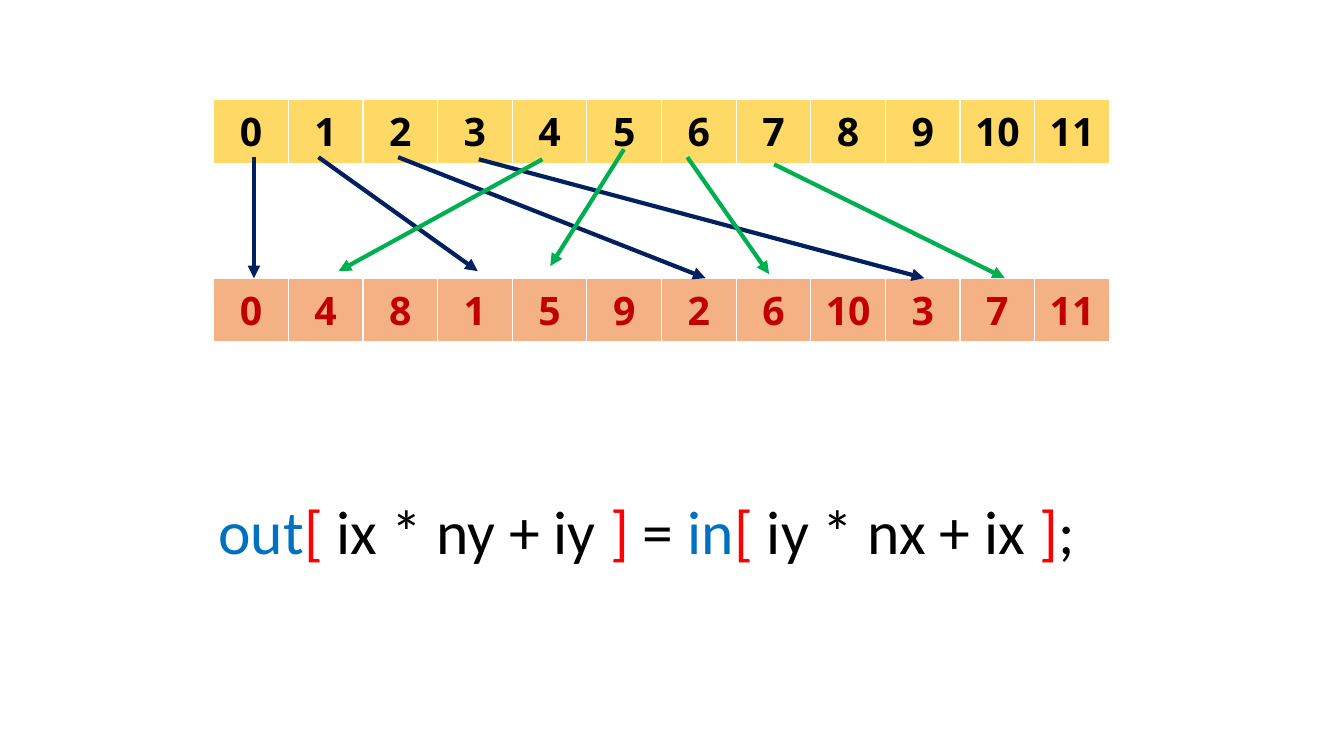
from lxml.etree import SubElement
from pptx import Presentation
from pptx.dml.color import RGBColor
from pptx.enum.shapes import MSO_CONNECTOR as Connector
from pptx.enum.text import MSO_ANCHOR as Anchor, MSO_AUTO_SIZE as AutoSize, PP_ALIGN as Align
from pptx.oxml.ns import qn
from pptx.util import Pt

BLACK = RGBColor(0x00, 0x00, 0x00)
RED = RGBColor(0xFF, 0x00, 0x00)
DARK_RED = RGBColor(0xC0, 0x00, 0x00)
BLUE = RGBColor(0x00, 0x70, 0xC0)
NAVY = RGBColor(0x00, 0x20, 0x60)
GREEN = RGBColor(0x00, 0xB0, 0x50)
YELLOW = RGBColor(0xFF, 0xD9, 0x66)
ORANGE = RGBColor(0xF4, 0xB1, 0x83)

NX, NY = 4, 3
ARRAY_LEFT, ARRAY_WIDTH, ROW_HEIGHT = 152.6, 640, 41
IN_TOP, OUT_TOP = 71.3, 198.7

# Start and end of each arrow: x1, y1, x2, y2
FIRST_ROW_ARROWS = [
    (181.4, 112.3, 181.4, 198.7),
    (227.5, 112.3, 341.3, 193.7),
    (284.4, 112.3, 504, 198.7),
    (342, 113.8, 660.2, 198.7),
]
SECOND_ROW_ARROWS = [
    (387.4, 113.8, 241.9, 193.7),
    (445.7, 106.6, 393.1, 190.1),
    (491, 112.3, 549.4, 195.8),
    (553, 117.4, 717.8, 198.7),
]

FORMULA = [
    (" ", BLACK), ("out", BLUE), ("[", RED), (" ix * ny + iy ", BLACK),
    ("]", RED), (" = ", BLACK), ("in", BLUE), ("[ ", RED),
    ("iy * nx + ix ", BLACK), ("]", RED), (";", BLACK),
]


def style_font(font, name, size, color, bold=False):
    font.name = name
    font.size = Pt(size)
    font.color.rgb = color
    font.bold = bold


def add_array(page, values, top, fill, color):
    """One-row table; its default style supplies the white borders."""
    frame = page.shapes.add_table(1, len(values), Pt(ARRAY_LEFT), Pt(top),
                                  Pt(ARRAY_WIDTH), Pt(ROW_HEIGHT))
    for cell, value in zip(frame.table.rows[0].cells, values):
        cell.fill.solid()
        cell.fill.fore_color.rgb = fill
        cell.vertical_anchor = Anchor.MIDDLE
        cell.text_frame.text = str(value)
        para = cell.text_frame.paragraphs[0]
        para.alignment = Align.CENTER
        style_font(para.runs[0].font, "Open Sans", 28, color, bold=True)


def add_arrow(page, ends, color):
    arrow = page.shapes.add_connector(Connector.STRAIGHT, *map(Pt, ends))
    arrow.line.color.rgb = color
    arrow.line.width = Pt(3)
    SubElement(arrow.line._get_or_add_ln(), qn("a:tailEnd"), type="triangle")
    SubElement(arrow._element.spPr, qn("a:effectLst"))


def add_formula(page, parts):
    box = page.shapes.add_textbox(Pt(139), Pt(348.5), Pt(642.2), Pt(60.5))
    box.text_frame.word_wrap = False
    box.text_frame.auto_size = AutoSize.SHAPE_TO_FIT_TEXT
    para = box.text_frame.paragraphs[0]
    for text, color in parts:
        span = para.add_run()
        span.text = text
        style_font(span.font, "Calibri", 44, color)


def main():
    deck = Presentation()
    deck.slide_width, deck.slide_height = Pt(960), Pt(540)
    page = deck.slides.add_slide(deck.slide_layouts[6])

    # Input array and its transpose
    source = list(range(NX * NY))
    transposed = [source[iy * NX + ix] for ix in range(NX) for iy in range(NY)]
    add_array(page, source, IN_TOP, YELLOW, BLACK)
    add_array(page, transposed, OUT_TOP, ORANGE, DARK_RED)

    # Index formula
    add_formula(page, FORMULA)

    # Arrows from input to output cells
    for arrows, color in ((FIRST_ROW_ARROWS, NAVY), (SECOND_ROW_ARROWS, GREEN)):
        for ends in arrows:
            add_arrow(page, ends, color)

    deck.save("out.pptx")


main()
